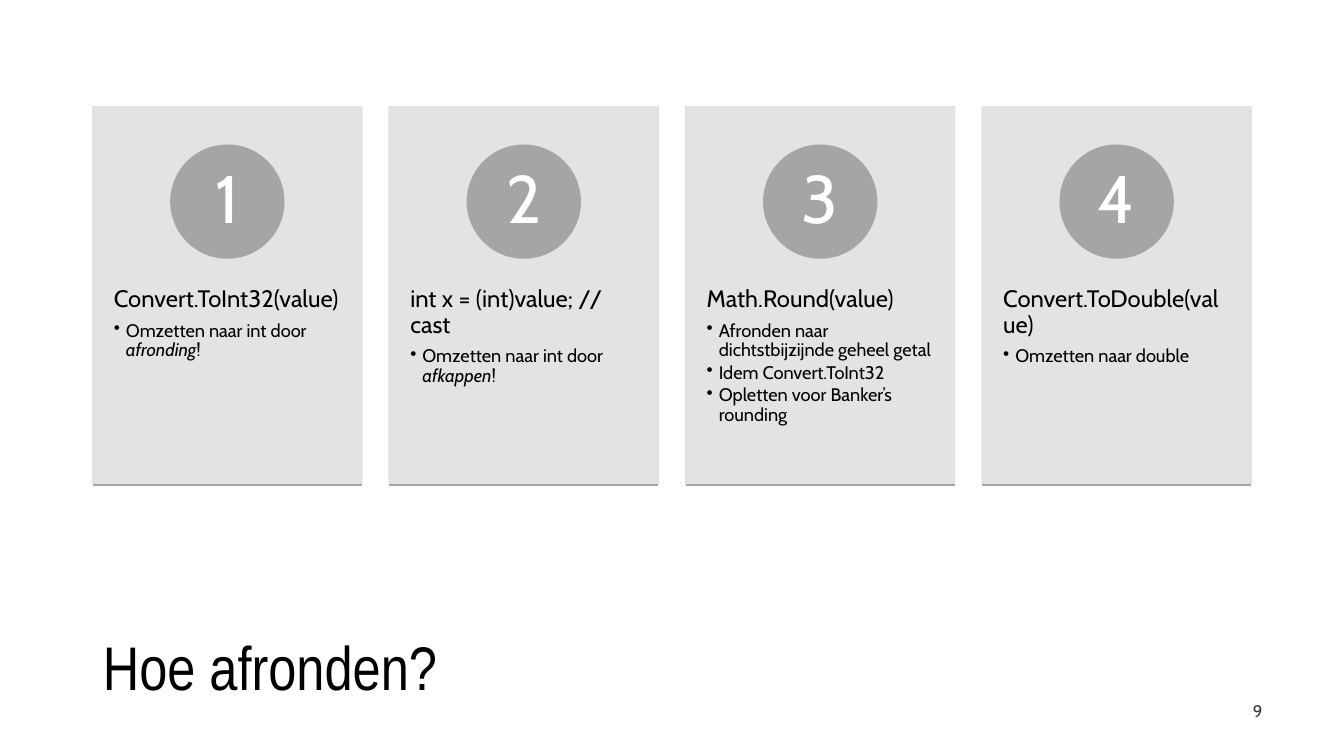
from lxml.etree import SubElement
from pptx import Presentation
from pptx.dml.color import RGBColor
from pptx.enum.shapes import MSO_CONNECTOR, MSO_SHAPE
from pptx.enum.text import MSO_ANCHOR, PP_ALIGN
from pptx.oxml.ns import qn
from pptx.util import Inches, Pt

BLACK = RGBColor(0x00, 0x00, 0x00)
WHITE = RGBColor(0xFF, 0xFF, 0xFF)
PANEL_GRAY = RGBColor(0xE1, 0xE1, 0xE1)
ACCENT_GRAY = RGBColor(0xA5, 0xA5, 0xA5)

TITLE_FONT = "Arial Narrow"
BODY_FONT = "Cabin"

CARD_LEFT, CARD_TOP = 0.92, 1.06
CARD_WIDTH, CARD_HEIGHT = 2.67, 3.74
CARD_PITCH = 2.94
CIRCLE_TOP, CIRCLE_SIZE = 1.44, 1.12
TEXT_TOP, TEXT_HEIGHT = 2.49, 2.25
RULE_TOP = 4.81
BULLET_INDENT = 0.12

CARDS = [
    ("Convert.ToInt32(value)",
     [[("Omzetten naar int door ", False), ("afronding", True), ("!", False)]]),
    ("int x = (int)value; // cast",
     [[("Omzetten naar int door ", False), ("afkappen", True), ("!", False)]]),
    ("Math.Round(value)",
     [[("Afronden naar dichtstbijzijnde geheel getal", False)],
      [("Idem Convert.ToInt32", False)],
      [("Opletten voor Banker’s rounding", False)]]),
    ("Convert.ToDouble(value)",
     [[("Omzetten naar double", False)]]),
]


def set_opacity(element, percent):
    """Give every colour inside an element the same opacity."""
    for color in element.iter(qn("a:srgbClr")):
        SubElement(color, qn("a:alpha")).set("val", str(percent * 1000))


def add_span(para, text, size, color=BLACK, font=BODY_FONT, italic=False):
    """Add one formatted run to a paragraph."""
    span = para.add_run()
    span.text = text
    span.font.name = font
    span.font.size = Pt(size)
    span.font.color.rgb = color
    span.font.italic = italic
    return span


def add_filled_shape(page, kind, color, left, top, width, height):
    """Add a preset shape whose fill and outline share a colour."""
    shape = page.shapes.add_shape(
        kind, Inches(left), Inches(top), Inches(width), Inches(height))
    shape.shadow.inherit = False
    shape.fill.solid()
    shape.fill.fore_color.rgb = color
    shape.line.color.rgb = color
    shape.line.width = Pt(1)
    return shape


def add_text_box(page, left, top, width, height):
    """Add an empty wrapping text box."""
    box = page.shapes.add_textbox(
        Inches(left), Inches(top), Inches(width), Inches(height))
    box.text_frame.word_wrap = True
    return box


def add_number_circle(page, left, number):
    """Add a circle holding the number of a card."""
    circle = add_filled_shape(page, MSO_SHAPE.OVAL, ACCENT_GRAY,
                              left, CIRCLE_TOP, CIRCLE_SIZE, CIRCLE_SIZE)
    frame = circle.text_frame
    frame.vertical_anchor = MSO_ANCHOR.MIDDLE
    frame.margin_left = frame.margin_right = Inches(0.09)
    frame.margin_top = frame.margin_bottom = Inches(0.01)
    para = frame.paragraphs[0]
    para.alignment = PP_ALIGN.CENTER
    para.line_spacing = 0.9
    add_span(para, str(number), 48, WHITE)


def add_bullet(frame, spans):
    """Add a bulleted paragraph with a hanging indent."""
    para = frame.add_paragraph()
    para.level = 1
    para.line_spacing = 0.9
    para.space_after = Pt(2)
    properties = para._p.get_or_add_pPr()
    properties.set("marL", str(Inches(BULLET_INDENT)))
    properties.set("indent", str(-Inches(BULLET_INDENT)))
    SubElement(properties, qn("a:buChar")).set("char", "•")
    for text, italic in spans:
        add_span(para, text, 13, italic=italic)


def add_card_text(page, left, heading, bullets):
    """Add the heading and the bullets of a card."""
    frame = add_text_box(page, left, TEXT_TOP, CARD_WIDTH, TEXT_HEIGHT).text_frame
    frame.margin_left = frame.margin_right = Inches(0.21)
    frame.margin_top = frame.margin_bottom = Inches(0.36)
    para = frame.paragraphs[0]
    para.line_spacing = 0.9
    para.space_after = Pt(6)
    add_span(para, heading, 17)
    for spans in bullets:
        add_bullet(frame, spans)


def add_rule(page, left):
    """Add the line under a card."""
    rule = page.shapes.add_connector(
        MSO_CONNECTOR.STRAIGHT, Inches(left), Inches(RULE_TOP),
        Inches(left + CARD_WIDTH), Inches(RULE_TOP))
    rule.line.color.rgb = ACCENT_GRAY
    rule.line.width = Pt(1)
    SubElement(rule._element.spPr, qn("a:effectLst"))


def add_card(page, number, heading, bullets):
    """Add one numbered card at its place in the row."""
    left = CARD_LEFT + (number - 1) * CARD_PITCH
    panel = add_filled_shape(page, MSO_SHAPE.RECTANGLE, PANEL_GRAY,
                             left, CARD_TOP, CARD_WIDTH, CARD_HEIGHT)
    set_opacity(panel._element, 90)
    add_card_text(page, left, heading, bullets)
    add_number_circle(page, left + (CARD_WIDTH - CIRCLE_SIZE) / 2, number)
    add_rule(page, left)


def format_title(page, text):
    """Place and fill the title placeholder."""
    title = page.shapes.title
    title.left, title.top = Inches(CARD_LEFT), Inches(6.05)
    title.width, title.height = Inches(8.83), Inches(1.2)
    title.text_frame.vertical_anchor = MSO_ANCHOR.MIDDLE
    para = title.text_frame.paragraphs[0]
    para.alignment = PP_ALIGN.LEFT
    para.line_spacing = 0.9
    add_span(para, text, 44, font=TITLE_FONT)


def add_page_number(page, number):
    """Add the page number at the bottom right."""
    frame = add_text_box(page, 11.15, 6.85, 1.47, 0.4).text_frame
    frame.vertical_anchor = MSO_ANCHOR.MIDDLE
    para = frame.paragraphs[0]
    para.alignment = PP_ALIGN.RIGHT
    para.space_after = Pt(6)
    span = add_span(para, str(number), 12)
    set_opacity(span._r, 80)


def main():
    """Build the slide and save the deck."""
    deck = Presentation()
    deck.slide_width, deck.slide_height = Inches(13.33), Inches(7.5)
    page = deck.slides.add_slide(deck.slide_layouts[5])
    format_title(page, "Hoe afronden?")
    add_page_number(page, 9)
    for number, (heading, bullets) in enumerate(CARDS, start=1):
        add_card(page, number, heading, bullets)
    deck.save("out.pptx")


if __name__ == "__main__":
    main()
